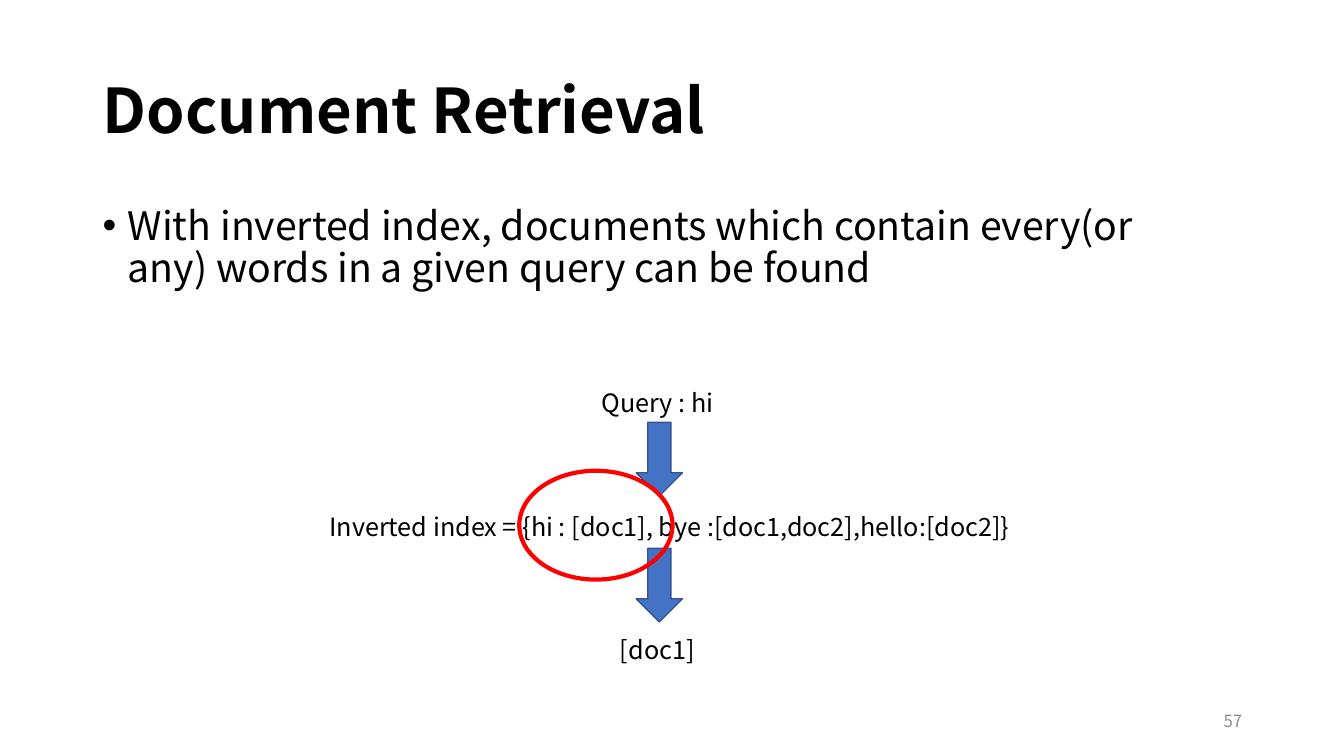
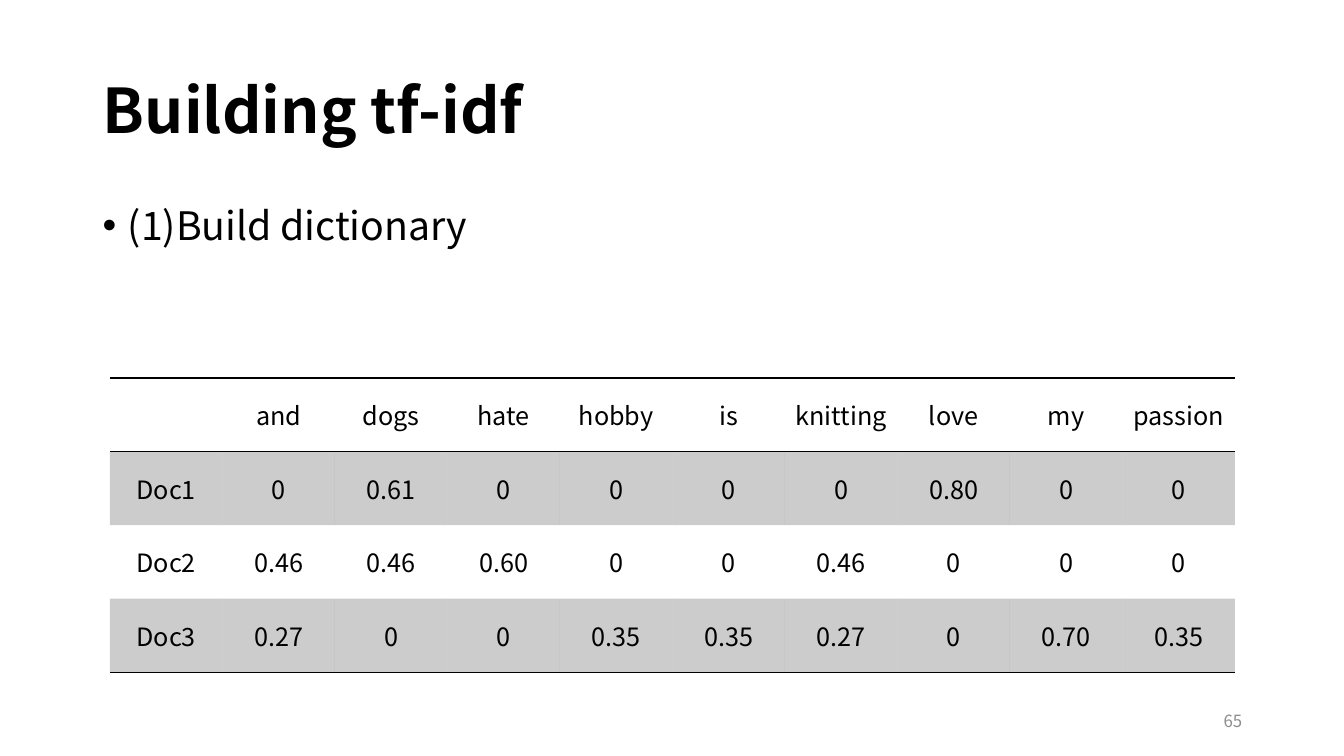
from pptx import Presentation
from pptx.dml.color import RGBColor
from pptx.enum.shapes import MSO_SHAPE
from pptx.enum.text import MSO_ANCHOR, MSO_AUTO_SIZE, PP_ALIGN
from pptx.oxml import parse_xml
from pptx.oxml.ns import nsdecls, qn
from pptx.util import Emu, Pt

PX = 9144


def px(*values):
    return [Emu(v * PX) for v in values]


def rgb(value):
    return RGBColor.from_string(value)


class Deck:
    FONT = "Noto Sans CJK KR"
    BLACK = "000000"
    GRAY = "8C8C8C"
    BLUE = "4472C4"
    NAVY = "325491"
    RED = "FF0000"
    PLAIN_TABLE = "{2D5ABB26-0587-4C30-8999-92F81FD0307C}"

    def __init__(self):
        self.prs = Presentation()
        self.prs.slide_width, self.prs.slide_height = px(1333, 750)
        self.s = None

    def set_text(self, tf, text, size, align=PP_ALIGN.LEFT, color=BLACK, bold=False):
        tf.text = text
        p = tf.paragraphs[0]
        p.alignment = align
        for r in p.runs:
            r.font.name = self.FONT
            r.font.size = Pt(size)
            r.font.bold = bold
            r.font.color.rgb = rgb(color)
        return p

    def slide(self, title, number):
        self.s = self.prs.slides.add_slide(self.prs.slide_layouts[5])
        sp = self.s.shapes.title
        sp.left, sp.top, sp.width, sp.height = px(92, 40, 1150, 145)
        tf = sp.text_frame
        tf.vertical_anchor = MSO_ANCHOR.MIDDLE
        tf.auto_size = MSO_AUTO_SIZE.NONE
        self.set_text(tf, title, 44, bold=True).line_spacing = 0.9
        sp, p = self.text(number, 942, 695, 300, 40, 12, PP_ALIGN.RIGHT, self.GRAY)
        sp.text_frame.vertical_anchor = MSO_ANCHOR.MIDDLE

    def text(self, text, x, y, w, h, size=18, align=PP_ALIGN.CENTER, color=BLACK):
        sp = self.s.shapes.add_textbox(*px(x, y, w, h))
        sp.text_frame.word_wrap = True
        return sp, self.set_text(sp.text_frame, text, size, align, color)

    def bullet(self, text, h):
        sp, p = self.text(text, 92, 200, 1116, h, 28, PP_ALIGN.LEFT)
        p.line_spacing = 0.9
        p.space_before = Pt(10)
        pPr = p._p.get_or_add_pPr()
        indent = 25 * PX
        pPr.set("marL", str(indent))
        pPr.set("indent", str(-indent))
        pPr.append(parse_xml(f'<a:buFont {nsdecls("a")} typeface="Arial"/>'))
        pPr.append(parse_xml(f'<a:buChar {nsdecls("a")} char="•"/>'))

    def shape(self, kind, x, y, w, h, line, weight, fill=None):
        sp = self.s.shapes.add_shape(kind, *px(x, y, w, h))
        sp.shadow.inherit = False
        if fill:
            sp.fill.solid()
            sp.fill.fore_color.rgb = rgb(fill)
        else:
            sp.fill.background()
        sp.line.color.rgb = rgb(line)
        sp.line.width = Pt(weight)

    def down_arrow(self, x, y):
        self.shape(MSO_SHAPE.DOWN_ARROW, x, y, 46, 73, self.NAVY, 1, self.BLUE)

    def ring(self, x, y, w, h):
        self.shape(MSO_SHAPE.OVAL, x, y, w, h, self.RED, 3)

    def border(self, cell, side):
        cell._tc.get_or_add_tcPr().insert(0, parse_xml(
            f'<a:ln{side} {nsdecls("a")} w="{Pt(1)}"><a:solidFill>'
            f'<a:srgbClr val="{self.BLACK}"/></a:solidFill></a:ln{side}>'))

    def shade(self, cell):
        cell.fill.solid()
        cell.fill.fore_color.rgb = rgb(self.BLACK)
        color = cell._tc.tcPr.find(f'{qn("a:solidFill")}/{qn("a:srgbClr")}')
        color.append(parse_xml(f'<a:alpha {nsdecls("a")} val="20000"/>'))

    def table(self, rows, x, y, w, h):
        frame = self.s.shapes.add_table(len(rows), len(rows[0]), *px(x, y, w, h))
        table = frame.table
        table.horz_banding = table.first_row = False
        table._tbl.tblPr[0].text = self.PLAIN_TABLE
        last = len(rows) - 1
        for i, row in enumerate(rows):
            for j, value in enumerate(row):
                cell = table.cell(i, j)
                cell.vertical_anchor = MSO_ANCHOR.MIDDLE
                self.set_text(cell.text_frame, value, 18, PP_ALIGN.CENTER)
                if i % 2:
                    self.shade(cell)
                else:
                    cell.fill.background()
                if i in (0, last):
                    self.border(cell, "B")
                if i == 0:
                    self.border(cell, "T")


def retrieval(deck):
    deck.slide("Document Retrieval", "57")
    deck.bullet("With inverted index, documents which contain every(or any) "
                "words in a given query can be found", 253)
    deck.text("Inverted index = {hi : [doc1], bye :[doc1,doc2],hello:[doc2]}",
              275, 502, 778, 71)
    deck.text("Query : hi", 263, 379, 778, 40)
    deck.text("[doc1]", 263, 624, 778, 71)
    for y in (419, 544):
        deck.down_arrow(631, y)
    deck.ring(515, 467, 152, 108)


def tf_idf(deck):
    deck.slide("Building tf-idf", "65")
    deck.bullet("(1)Build dictionary", 116)
    deck.table([
        ["", "and", "dogs", "hate", "hobby", "is", "knitting", "love", "my", "passion"],
        ["Doc1", "0", "0.61", "0", "0", "0", "0", "0.80", "0", "0"],
        ["Doc2", "0.46", "0.46", "0.60", "0", "0", "0.46", "0", "0", "0"],
        ["Doc3", "0.27", "0", "0", "0.35", "0.35", "0.27", "0", "0.70", "0.35"],
    ], 109, 375, 1116, 292)


def main():
    deck = Deck()
    retrieval(deck)
    tf_idf(deck)
    deck.prs.save("out.pptx")


if __name__ == "__main__":
    main()
